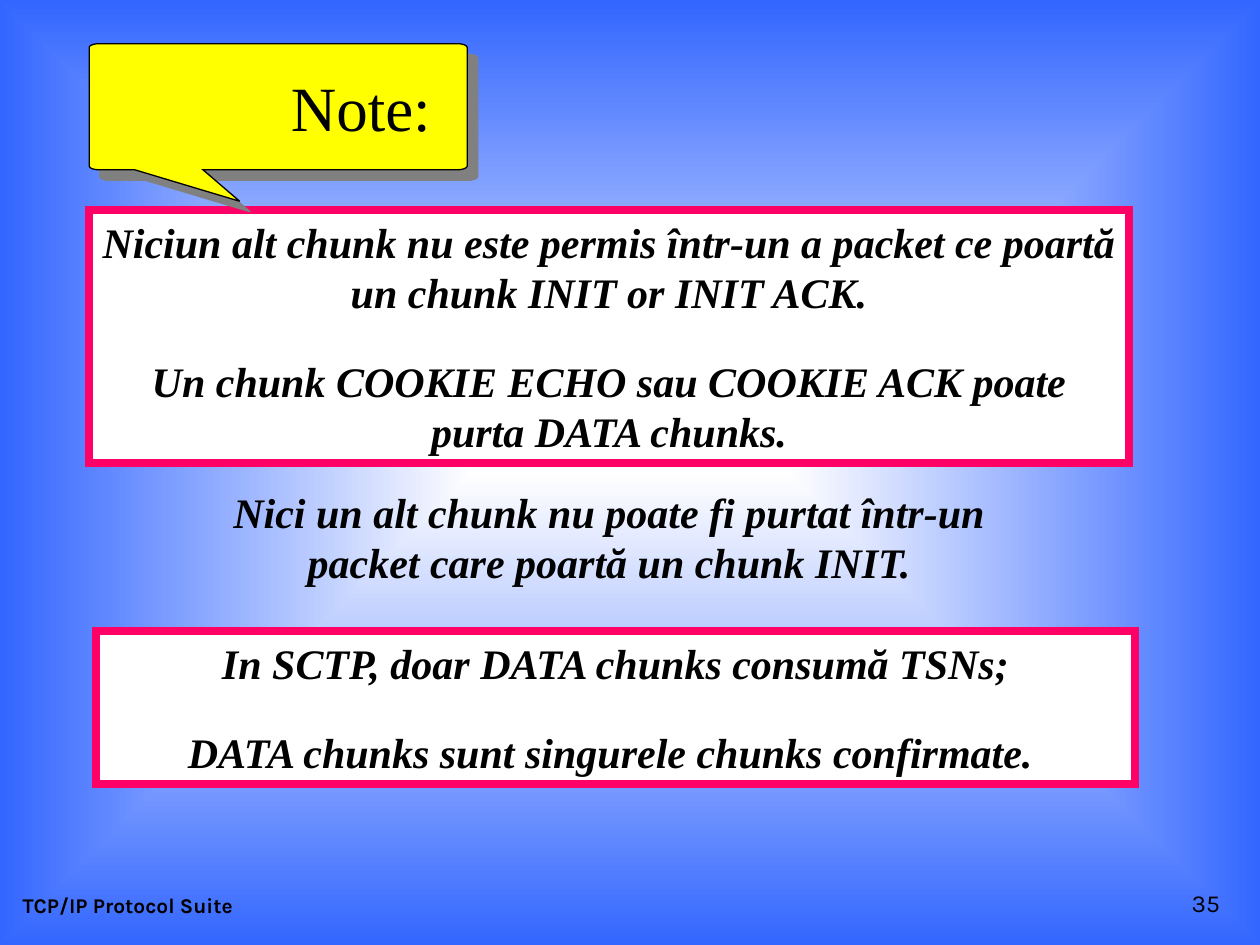
from math import cos, pi, sin

from lxml.etree import SubElement
from pptx import Presentation
from pptx.dml.color import RGBColor
from pptx.enum.shapes import MSO_SHAPE
from pptx.enum.text import MSO_ANCHOR, MSO_AUTO_SIZE, PP_ALIGN
from pptx.oxml.ns import qn
from pptx.util import Pt

BLACK = RGBColor(0x00, 0x00, 0x00)
WHITE = RGBColor(0xFF, 0xFF, 0xFF)
BLUE = RGBColor(0x33, 0x66, 0xFF)
PINK = RGBColor(0xFF, 0x00, 0x66)
YELLOW = RGBColor(0xFF, 0xFF, 0x00)
GRAY = RGBColor(0x80, 0x80, 0x80)

SERIF, SANS = "Times New Roman", "Karla"
STATEMENT_FONT = dict(name=SERIF, size=Pt(24), bold=True, italic=True)
STATEMENT_PARA = dict(alignment=PP_ALIGN.CENTER, space_before=Pt(12), space_after=Pt(10))
TOP_FRAME = dict(vertical_anchor=MSO_ANCHOR.TOP, word_wrap=True,
                 auto_size=MSO_AUTO_SIZE.SHAPE_TO_FIT_TEXT)
FOOTER_FRAME = dict(vertical_anchor=MSO_ANCHOR.BOTTOM, word_wrap=True)


def set_attrs(obj, values):
    for name, value in values.items():
        setattr(obj, name, value)


def fill_text(sp, lines, font, para, frame):
    tf = sp.text_frame
    set_attrs(tf, frame)
    set_attrs(tf, dict(margin_left=Pt(7.2), margin_right=Pt(7.2),
                       margin_top=Pt(3.6), margin_bottom=Pt(3.6)))
    for i, line in enumerate(lines):
        p = tf.add_paragraph() if i else tf.paragraphs[0]
        set_attrs(p, para)
        r = p.add_run()
        r.text = line
        set_attrs(r.font, font)
        r.font.color.rgb = BLACK


def set_background(s):
    fill = s.background.fill
    fill.gradient()
    for stop, position, color in zip(fill.gradient_stops, (0, 1), (WHITE, BLUE)):
        stop.position = position
        stop.color.rgb = color
    grad = s.element.find(".//" + qn("a:gradFill"))
    grad.remove(grad.find(qn("a:lin")))
    path = SubElement(grad, qn("a:path"), path="rect")
    SubElement(path, qn("a:fillToRect"), l="50000", t="50000", r="50000", b="50000")


def paint(sp, fill_color, line_color, line_width):
    sp.fill.solid()
    sp.fill.fore_color.rgb = fill_color
    sp.line.color.rgb = line_color
    sp.line.width = Pt(line_width)
    SubElement(sp.element.spPr.find(qn("a:ln")), qn("a:miter"), lim="800000")


def add_shadow(sp):
    effects = SubElement(sp.element.spPr, qn("a:effectLst"))
    shadow = SubElement(effects, qn("a:outerShdw"), blurRad="0", dist=str(Pt(8.5)),
                        dir="2700000", algn="ctr", rotWithShape="0")
    SubElement(shadow, qn("a:srgbClr"), val=str(GRAY))


def callout_points(x, y, w, h):
    rx, ry, steps = 5.4, 2.2, 6

    def corner(cx, cy, start):
        angles = [start + pi / 2 * i / steps for i in range(steps + 1)]
        return [(cx + rx * cos(a), cy + ry * sin(a)) for a in angles]

    left, right, top, bottom = x + rx, x + w - rx, y + ry, y + h - ry
    pointer = [(x + 65, y + h), (x + 86, y + h + 18), (x + 26, y + h)]
    outline = (corner(left, top, pi) + corner(right, top, 1.5 * pi)
               + corner(right, bottom, 0) + pointer + corner(left, bottom, pi / 2))
    return [(Pt(px), Pt(py)) for px, py in outline]


def add_note_callout(s, x, y, w, h):
    points = callout_points(x, y, w, h)
    builder = s.shapes.build_freeform(*points[0])
    builder.add_line_segments(points[1:], close=True)
    sp = builder.convert_to_shape()
    paint(sp, YELLOW, BLACK, 0.75)
    add_shadow(sp)

    title = s.shapes.title
    set_attrs(title, dict(left=Pt(x + 108), top=Pt(y + 10.8),
                          width=Pt(w - 112), height=Pt(50.4)))
    fill_text(title, ["Note:"], dict(name=SERIF, size=Pt(36)),
              dict(alignment=PP_ALIGN.LEFT), TOP_FRAME)
    title.element.getparent().append(title.element)


def add_framed_statement(s, x, y, w, h, lines):
    sp = s.shapes.add_shape(MSO_SHAPE.RECTANGLE, Pt(x), Pt(y), Pt(w), Pt(h))
    sp.shadow.inherit = False
    paint(sp, WHITE, PINK, 4.5)
    fill_text(sp, lines, STATEMENT_FONT, STATEMENT_PARA, TOP_FRAME)


def add_text(s, x, y, w, h, line, font, para, frame):
    sp = s.shapes.add_textbox(Pt(x), Pt(y), Pt(w), Pt(h))
    fill_text(sp, [line], font, para, frame)


def add_footer(s, x, y, w, h):
    add_text(s, x, y, 228, h, "TCP/IP Protocol Suite",
             dict(name=SANS, size=Pt(12), bold=True),
             dict(alignment=PP_ALIGN.LEFT), FOOTER_FRAME)
    add_text(s, x + w - 150, y, 150, h, "35", dict(name=SANS, size=Pt(14)),
             dict(alignment=PP_ALIGN.RIGHT), FOOTER_FRAME)


def main():
    prs = Presentation()
    prs.slide_width, prs.slide_height = Pt(720), Pt(540)
    s = prs.slides.add_slide(prs.slide_layouts[5])
    set_background(s)
    add_footer(s, 5.8, 491.8, 698.4, 36)
    add_framed_statement(s, 51, 120, 594, 144.7, [
        "Niciun alt chunk nu este permis într-un a packet ce poartă un chunk INIT or INIT ACK.",
        "Un chunk COOKIE ECHO sau COOKIE ACK poate purta DATA chunks.",
    ])
    add_note_callout(s, 51, 25, 216, 72)
    add_text(s, 98.6, 274.3, 499, 64.8,
             "Nici un alt chunk nu poate fi purtat într-un packet care poartă un chunk INIT.",
             STATEMENT_FONT, STATEMENT_PARA, TOP_FRAME)
    add_framed_statement(s, 54.7, 360.7, 594, 87.1, [
        "In SCTP, doar DATA chunks consumă TSNs;",
        "DATA chunks sunt singurele chunks confirmate. ",
    ])
    prs.save("out.pptx")


if __name__ == "__main__":
    main()
